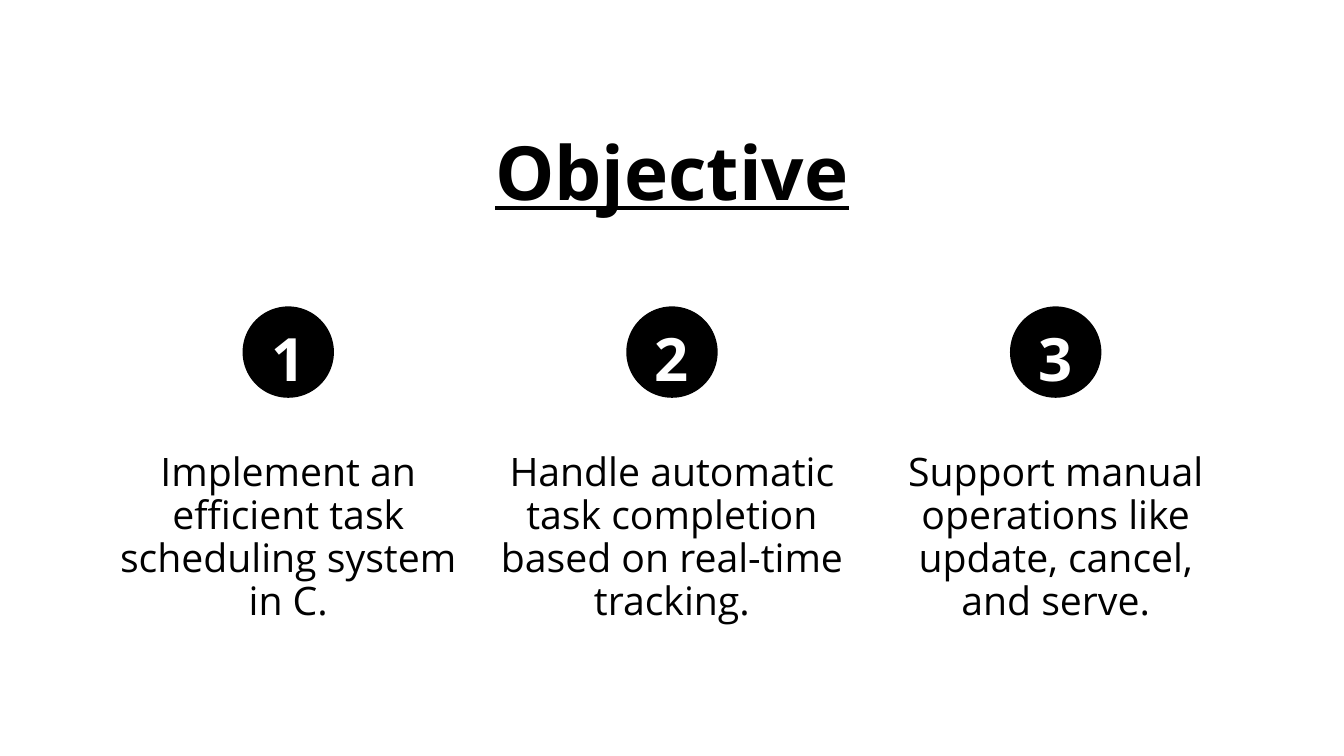
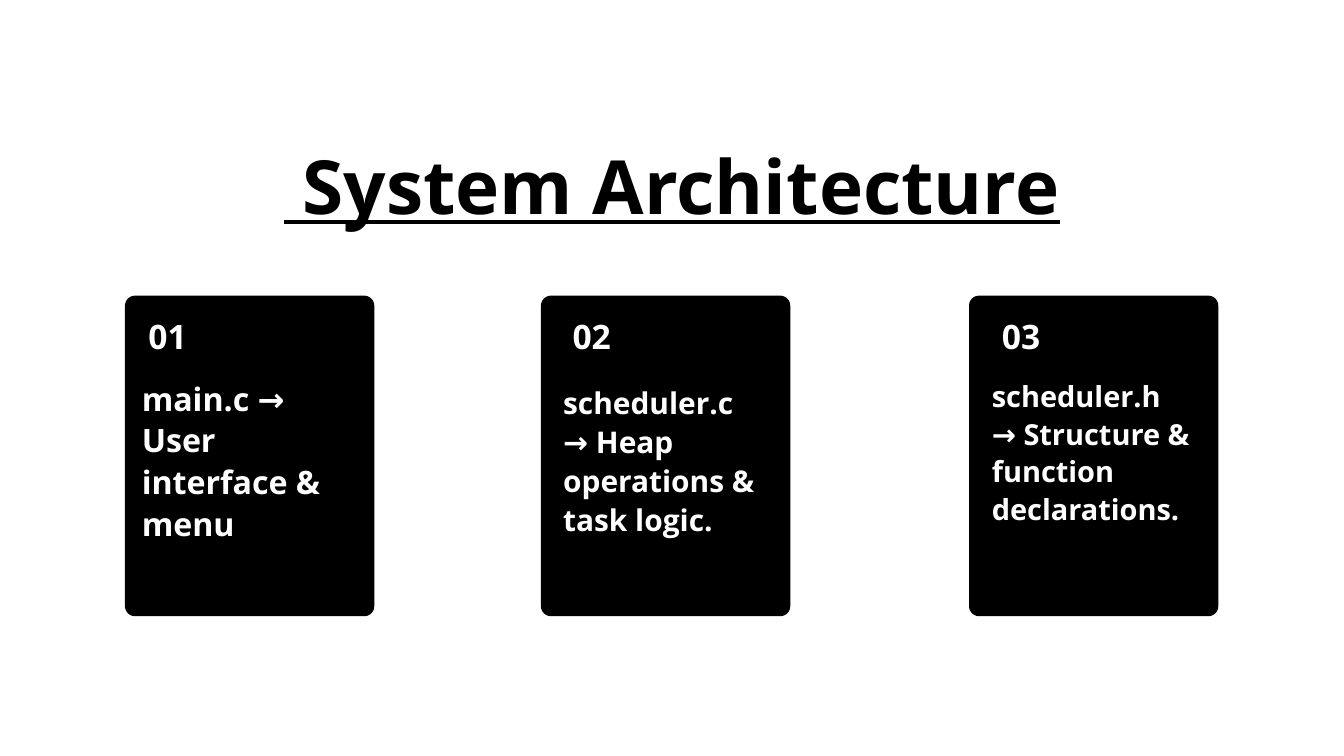
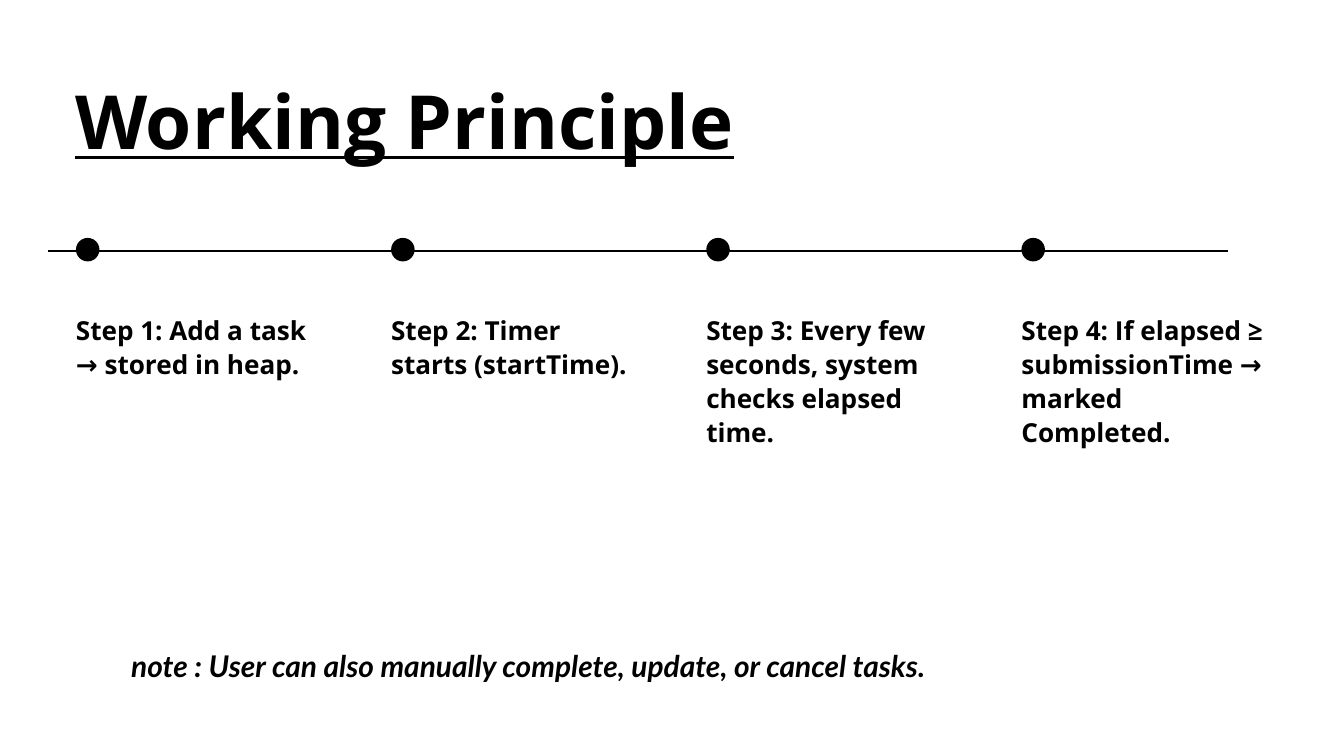
"""Builds three slides on the aim, structure and working of a task scheduler."""
from lxml import etree
from pptx import Presentation
from pptx import util as u
from pptx.dml.color import RGBColor
from pptx.enum import shapes, text
from pptx.oxml.ns import qn

COLUMNS = 20
INK, PAPER = "000000", "FFFFFF"
LEFT, CENTER = text.PP_ALIGN.LEFT, text.PP_ALIGN.CENTER


def color(value):
    return RGBColor.from_string(value)


class Board:
    def __init__(self):
        self.deck = Presentation()
        self.deck.slide_width = u.Inches(20)
        self.deck.slide_height = u.Inches(11.25)
        self.cell = self.deck.slide_width / COLUMNS
        self.page = None

    def grid(self, *counts):
        return [u.Emu(round(count * self.cell)) for count in counts]

    def new_page(self):
        self.page = self.deck.slides.add_slide(self.deck.slide_layouts[6])
        fill = self.page.background.fill
        fill.solid()
        fill.fore_color.rgb = color(PAPER)

    def label(self, words, area, size, spacing, ink=INK, align=LEFT,
              bold=True, italic=False, underline=False, font="Open Sans"):
        box = self.page.shapes.add_textbox(*self.grid(*area))
        frame = box.text_frame
        frame.word_wrap = True
        frame.margin_left = frame.margin_right = 0
        frame.margin_top = frame.margin_bottom = 0
        para = frame.paragraphs[0]
        para.alignment = align
        para.line_spacing = u.Pt(spacing)
        span = para.add_run()
        span.text = words
        span.font.name = font
        span.font.size = u.Pt(size)
        span.font.bold = bold
        span.font.italic = italic
        span.font.underline = underline
        span.font.color.rgb = color(ink)

    def title(self, words, left, top, width, align=CENTER):
        self.label(words, (left, top, width, 1.33), 80, 96,
                   align=align, underline=True)

    def solid(self, kind, area):
        shape = self.page.shapes.add_shape(kind, *self.grid(*area))
        shape.shadow.inherit = False
        shape.fill.solid()
        shape.fill.fore_color.rgb = color(INK)
        shape.line.fill.background()
        return shape

    def dot(self, left, top, size):
        self.solid(shapes.MSO_SHAPE.OVAL, (left, top, size, size))

    def card(self, left, top, width, height):
        shape = self.solid(shapes.MSO_SHAPE.ROUNDED_RECTANGLE,
                           (left, top, width, height))
        shape.adjustments[0] = 0.04

    def rule(self, left, right, row):
        line = self.page.shapes.add_connector(
            shapes.MSO_CONNECTOR.STRAIGHT, *self.grid(left, row, right, row))
        line.line.color.rgb = color(INK)
        line.line.width = u.Pt(2)
        etree.SubElement(line._element.spPr, qn("a:effectLst"))


def objective(board):
    board.new_page()
    board.title("Objective", 4.06, 1.87, 11.88)
    goals = [
        ("Implement an efficient task scheduling system in C.", 5.01),
        ("Handle automatic task completion based on real-time tracking.", 5.9),
        ("Support manual operations like update, cancel, and serve.", 5.01),
    ]
    badge = 1.36
    for index, (goal, width) in enumerate(goals):
        center = COLUMNS / 2 + (index - 1) * 5.71
        left = center - badge / 2
        board.dot(left, 4.56, badge)
        board.label(str(index + 1), (left, 4.46, badge, 1.31), 64, 100.5,
                    ink=PAPER, align=CENTER)
        board.label(goal, (center - width / 2, 6.71, width, 2.56), 42, 46.2,
                    align=CENTER, bold=False)


def architecture(board):
    board.new_page()
    board.title(" System Architecture", 4.06, 2.08, 11.88)
    files = [
        ("main.c → User interface & menu",
         1.86, 2.21, (2.11, 5.59, 3.2, 2.46), 34.5),
        ("scheduler.c → Heap operations & task logic.",
         8.05, 8.52, (8.38, 5.68, 2.97, 2.28), 32),
        ("scheduler.h → Structure & function declarations.",
         14.42, 14.91, (14.76, 5.59, 2.97, 2.2), 31),
    ]
    for number, (role, card_left, number_left, area, size) in enumerate(files, 1):
        board.card(card_left, 4.4, 3.71, 4.77)
        board.label(f"{number:02}", (number_left, 4.51, 0.8, 0.73), 36, 56.5,
                    ink=PAPER)
        board.label(role, area, size, size * 1.3, ink=PAPER)


def principle(board):
    board.new_page()
    board.title("Working Principle", 1.12, 1.12, 17.75, LEFT)
    board.rule(0.71, 18.28, 3.74)
    steps = [
        "Step 1: Add a task → stored in heap.",
        "Step 2: Timer starts (startTime).",
        "Step 3: Every few seconds, system checks elapsed time.",
        "Step 4: If elapsed ≥ submissionTime → marked Completed.",
    ]
    for index, step in enumerate(steps):
        left = 1.13 + index * 4.69
        board.dot(left, 3.54, 0.35)
        board.label(step, (left, 4.64, 3.68, 1.98), 28, 36.4)
    board.label("note : User can also manually complete, update, or cancel tasks.",
                (1.12, 9.48, 13.49, 0.65), 32, 50.2,
                align=CENTER, italic=True, font="Lato")


def main():
    board = Board()
    objective(board)
    architecture(board)
    principle(board)
    board.deck.save("out.pptx")


if __name__ == "__main__":
    main()
